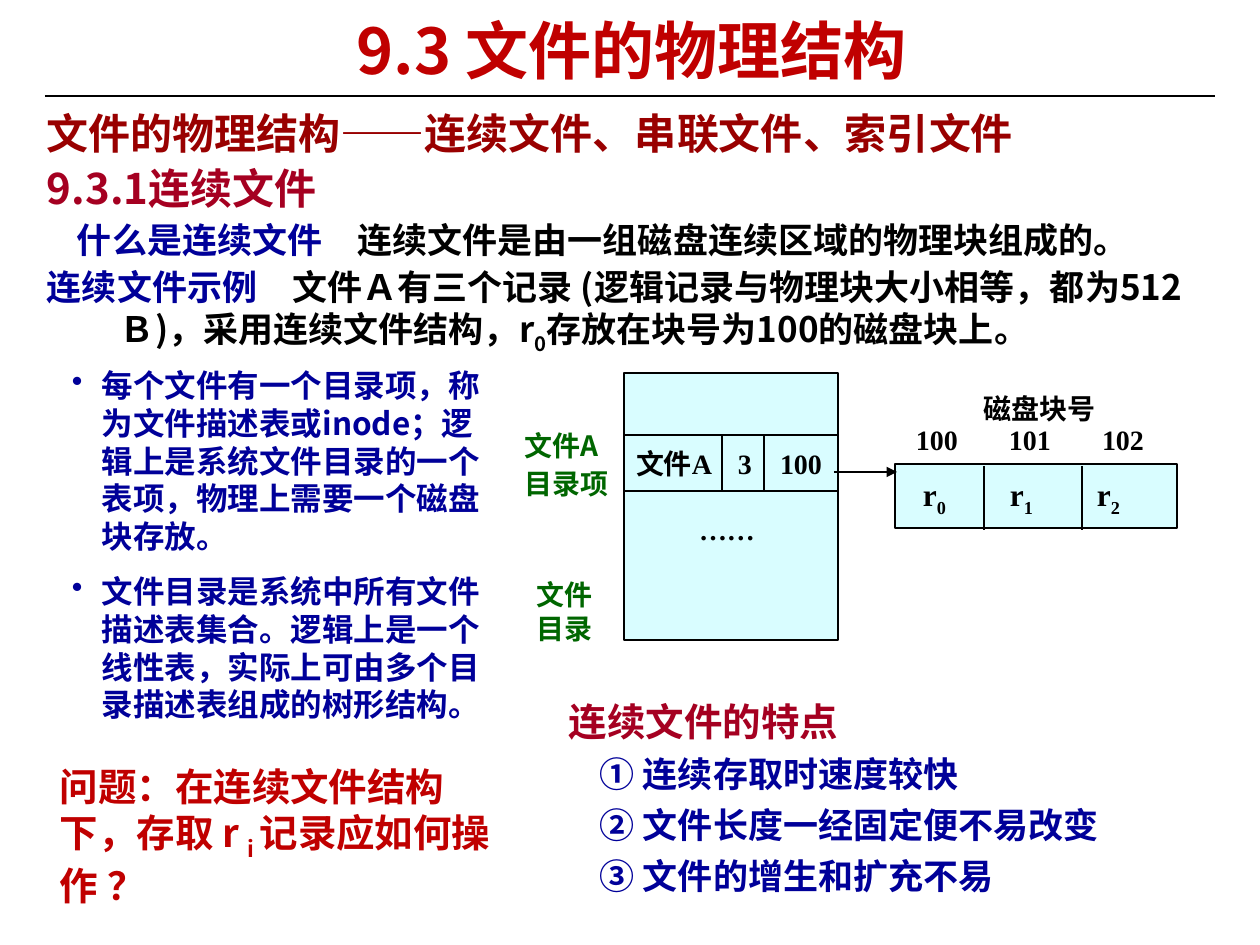
from pptx import Presentation
from pptx.dml.color import RGBColor
from pptx.enum.shapes import MSO_CONNECTOR as Connector, MSO_SHAPE as Shape
from pptx.enum.text import MSO_ANCHOR as Anchor, MSO_AUTO_SIZE as AutoSize, PP_ALIGN as Align
from pptx.oxml.ns import qn
from pptx.util import Emu, Pt
from lxml.etree import SubElement

EMU_PER_PX = 914400 / 126
SANS, SERIF = "Noto Sans CJK SC", "Times New Roman"
COLORS = {
    "black": "000000", "white": "FFFFFF", "red": "C00000", "maroon": "990000",
    "crimson": "A50021", "navy": "000099", "green": "006600", "cyan": "D9FDFF",
}


def px(length):
    return Emu(round(length * EMU_PER_PX))


def rgb(name):
    return RGBColor.from_string(COLORS[name])


def run(text, **changes):
    return text, changes


def add_run(paragraph, text, look):
    part = paragraph.add_run()
    part.text = text
    settings = {"name": look["face"], "size": Pt(look["size"]), "bold": True}
    for key, value in settings.items():
        setattr(part.font, key, value)
    part.font.color.rgb = rgb(look["color"])
    properties = part._r.get_or_add_rPr()
    SubElement(properties, qn("a:ea"), typeface=SANS)
    if look.get("sub"):
        properties.set("baseline", "-25000")


def add_bullet(properties):
    color = SubElement(properties, qn("a:buClr"))
    SubElement(color, qn("a:srgbClr"), val=COLORS["navy"])
    SubElement(properties, qn("a:buChar"), char="•")


def write(frame, paragraphs, look):
    for index, (runs, layout) in enumerate(paragraphs):
        paragraph = frame.paragraphs[0] if index == 0 else frame.add_paragraph()
        paragraph.alignment = layout.get("align", Align.LEFT)
        if index and "before" in layout:
            paragraph.space_before = Pt(layout["before"])
        if "spacing" in layout:
            paragraph.line_spacing = layout["spacing"]
        properties = paragraph._p.get_or_add_pPr()
        properties.set("marL", str(px(layout.get("margin", 0))))
        properties.set("indent", str(px(layout.get("indent", 0))))
        properties.set("hangingPunct", "0")
        if layout.get("bullet"):
            add_bullet(properties)
        for text, changes in runs:
            add_run(paragraph, text, {**look, **changes})


def add_text(slide, box, paragraphs, color, size, face=SANS, **changes):
    frame = slide.shapes.add_textbox(*map(px, box)).text_frame
    settings = {
        "word_wrap": True, "vertical_anchor": Anchor.TOP,
        "auto_size": AutoSize.SHAPE_TO_FIT_TEXT,
        "margin_left": px(13), "margin_right": px(13),
        "margin_top": px(6), "margin_bottom": px(6),
    }
    for key, value in {**settings, **changes}.items():
        setattr(frame, key, value)
    write(frame, paragraphs, {"color": color, "size": size, "face": face})


def add_cell_text(slide, box, runs, size):
    add_text(slide, box, [(runs, {})], "black", size, SERIF,
             word_wrap=False, margin_left=0, margin_right=0)


def add_storage(slide, box):
    storage = slide.shapes.add_shape(Shape.RECTANGLE, *map(px, box))
    storage.shadow.inherit = False
    storage.fill.solid()
    storage.fill.fore_color.rgb = rgb("cyan")
    storage.line.color.rgb = rgb("black")
    storage.line.width = Pt(1.5)


def add_line(slide, start, end, width=1.5, arrow=False):
    line = slide.shapes.add_connector(Connector.STRAIGHT, *map(px, start + end))
    line.line.color.rgb = rgb("black")
    line.line.width = Pt(width)
    properties = line._element.spPr
    if arrow:
        SubElement(properties.find(qn("a:ln")), qn("a:tailEnd"), type="triangle")
    SubElement(properties, qn("a:effectLst"))


def add_introduction(slide):
    add_line(slide, (45, 96), (1215, 96), width=0.75)
    add_text(slide, (53, 6, 1157, 88),
             [([run("9.3 文件的物理结构")], {"align": Align.CENTER})], "red", 36)
    hanging = {"margin": 73, "indent": -73, "before": 3}
    add_text(slide, (34, 101, 1191, 261), [
        ([run("文件的物理结构——连续文件、串联文件、索引文件", color="maroon", size=24)], hanging),
        ([run("9.3.1连续文件", color="crimson", size=24)], hanging),
        ([run("什么是连续文件　", color="navy"),
          run("连续文件是由一组磁盘连续区域的物理块组成的。")], {"margin": 30, "before": 3}),
        ([run("连续文件示例　", color="navy"),
          run("文件Ａ有三个记录 (逻辑记录与物理块大小相等，都为512Ｂ)，采用连续文件结构，r"),
          run("0", sub=True), run("存放在块号为100的磁盘块上。")], hanging),
    ], "black", 20)


def add_directory(slide):
    left, right, entry_top, entry_bottom = 624, 838, 435, 491
    add_storage(slide, (left, 373, right - left, 267))
    for y in (entry_top, entry_bottom):
        add_line(slide, (left, y), (right, y))
    for x in (722, 764):
        add_line(slide, (x, entry_top), (x, entry_bottom))
    for x, width, field in ((636, 84, "文件A"), (738, 16, "3"), (780, 44, "100")):
        add_cell_text(slide, (x, 441, width, 44), [run(field)], 16)
    add_cell_text(slide, (699, 507, 56, 44), [run("……")], 16)
    add_text(slide, (512, 423, 136, 83),
             [([run("文件A")], {}), ([run("目录项")], {"before": 2})], "green", 16)
    add_text(slide, (524, 572, 100, 81), [([run("文件目录")], {})], "green", 16)


def add_disk_blocks(slide):
    add_storage(slide, (895, 464, 282, 64))
    for x in (984, 1082):
        add_line(slide, (x, 466), (x, 530))
    add_line(slide, (834, 472), (897, 472), width=1, arrow=True)
    add_text(slide, (971, 386, 166, 47), [([run("磁盘块号")], {})], "black", 16, SERIF)
    for column in range(3):
        add_text(slide, (903 + 93 * column, 417, 71, 47),
                 [([run(str(100 + column))], {})], "black", 16, SERIF)
        add_cell_text(slide, (923 + 87 * column, 469, 24, 48),
                      [run("r"), run(str(column), sub=True)], 18)


def add_remarks(slide):
    bullet = {"margin": 30, "indent": -30, "bullet": True}
    for top, height, remark in (
        (360, 198, "每个文件有一个目录项，称为文件描述表或inode；"
                   "逻辑上是系统文件目录的一个表项，物理上需要一个磁盘块存放。"),
        (566, 168, "文件目录是系统中所有文件描述表集合。"
                   "逻辑上是一个线性表，实际上可由多个目录描述表组成的树形结构。"),
    ):
        add_text(slide, (59, top, 440, height), [([run(remark)], bullet)], "navy", 18,
                 auto_size=AutoSize.NONE)


def add_conclusions(slide):
    add_text(slide, (47, 757, 478, 112), [
        ([run("问题：在连续文件结构下，存取 r "), run("i ", sub=True),
          run("记录应如何操作 ？")], {}),
    ], "red", 22)
    features = ("① 连续存取时速度较快", "② 文件长度一经固定便不易改变", "③ 文件的增生和扩充不易")
    add_text(slide, (556, 678, 682, 226), [
        ([run("连续文件的特点", color="crimson", size=22)], {"spacing": 1.3}),
        *(([run(feature)], {"margin": 31, "before": 5}) for feature in features),
    ], "navy", 20)


def main():
    deck = Presentation()
    deck.slide_width, deck.slide_height = px(1260), px(945)
    slide = deck.slides.add_slide(deck.slide_layouts[6])
    slide.background.fill.solid()
    slide.background.fill.fore_color.rgb = rgb("white")
    add_introduction(slide)
    add_directory(slide)
    add_disk_blocks(slide)
    add_remarks(slide)
    add_conclusions(slide)
    deck.save("out.pptx")


if __name__ == "__main__":
    main()
